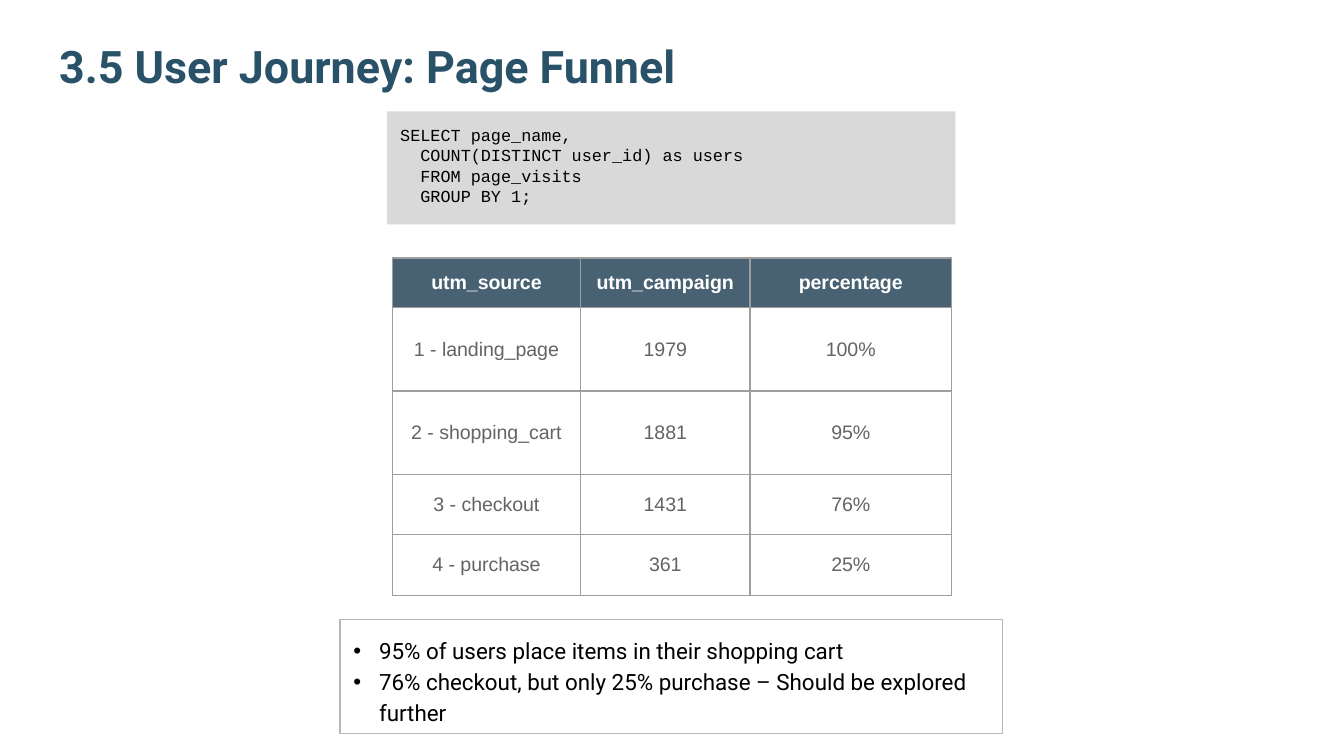
from pptx import Presentation
from pptx.dml.color import RGBColor
from pptx.enum.shapes import MSO_SHAPE
from pptx.enum.text import MSO_ANCHOR, MSO_AUTO_SIZE, PP_ALIGN
from pptx.oxml.ns import qn
from pptx.oxml.xmlchemy import OxmlElement
from pptx.util import Inches, Pt

LEFT, CENTER = PP_ALIGN.LEFT, PP_ALIGN.CENTER
TOP, MIDDLE, BOTTOM = MSO_ANCHOR.TOP, MSO_ANCHOR.MIDDLE, MSO_ANCHOR.BOTTOM
NO_AUTOFIT = MSO_AUTO_SIZE.NONE
RECTANGLE = MSO_SHAPE.RECTANGLE

QUERY = [
    "SELECT page_name,",
    "  COUNT(DISTINCT user_id) as users",
    "  FROM page_visits",
    "  GROUP BY 1;",
]
FUNNEL = [
    ("utm_source", "utm_campaign", "percentage"),
    ("1 - landing_page", "1979", "100%"),
    ("2 - shopping_cart", "1881", "95%"),
    ("3 - checkout", "1431", "76%"),
    ("4 - purchase", "361", "25%"),
]
COLUMN_WIDTHS = [1.4, 1.26, 1.5]
ROW_HEIGHTS = [0.37, 0.62, 0.62, 0.45, 0.45]
FINDINGS = [
    "95% of users place items in their shopping cart",
    "76% checkout, but only 25% purchase – Should be explored further",
]


def rgb(color):
    return RGBColor.from_string(color)


def place(shape, left, top, width, height):
    shape.left, shape.top = Inches(left), Inches(top)
    shape.width, shape.height = Inches(width), Inches(height)


def set_frame(frame, anchor):
    frame.word_wrap = True
    frame.auto_size = NO_AUTOFIT
    frame.vertical_anchor = anchor
    frame.margin_left = frame.margin_right = Inches(0.1)
    frame.margin_top = frame.margin_bottom = Inches(0.1)


def add_run(paragraph, text, font, size, color, bold=False):
    run = paragraph.add_run()
    run.text = text
    run.font.name = font
    run.font.size = Pt(size)
    run.font.bold = bold
    run.font.color.rgb = rgb(color)


def add_paragraphs(frame, lines):
    """Yield one paragraph with its text for each line."""
    for index, line in enumerate(lines):
        yield (frame.add_paragraph() if index else frame.paragraphs[0]), line


def add_child(parent, tag, **attributes):
    child = OxmlElement(tag)
    for name, value in attributes.items():
        child.set(name, value)
    parent.append(child)
    return child


def set_bullet(paragraph):
    properties = paragraph._p.get_or_add_pPr()
    properties.set("marL", str(Inches(0.19)))
    properties.set("indent", str(-Inches(0.19)))
    add_child(add_child(properties, "a:buClr"), "a:srgbClr", val="000000")
    add_child(properties, "a:buFont", typeface="Arial")
    add_child(properties, "a:buChar", char="•")


def set_borders(cell, color):
    properties = cell._tc.get_or_add_tcPr()
    for side in ("a:lnL", "a:lnR", "a:lnT", "a:lnB"):
        border = add_child(properties, side, w=str(Pt(0.75)))
        add_child(add_child(border, "a:solidFill"), "a:srgbClr", val=color)


def fill_header(cell, color, opacity):
    cell.fill.solid()
    cell.fill.fore_color.rgb = rgb(color)
    solid = cell._tc.tcPr.find(qn("a:solidFill"))
    add_child(solid[0], "a:alpha", val=str(opacity * 1000))


def add_title(slide):
    title = slide.shapes.title
    place(title, 0.34, 0.32, 9.32, 0.47)
    set_frame(title.text_frame, BOTTOM)
    heading = title.text_frame.paragraphs[0]
    heading.alignment = LEFT
    add_run(heading, "3.5 User Journey: Page Funnel", "Roboto", 24, "295269", True)


def add_query(slide):
    query = slide.shapes.add_shape(
        RECTANGLE, Inches(2.88), Inches(0.83), Inches(4.23), Inches(0.84))
    query.shadow.inherit = False
    query.fill.solid()
    query.fill.fore_color.rgb = rgb("D9D9D9")
    query.line.fill.background()
    set_frame(query.text_frame, TOP)
    for paragraph, line in add_paragraphs(query.text_frame, QUERY):
        paragraph.alignment = LEFT
        add_run(paragraph, line, "Courier New", 9, "000000")


def add_funnel(slide):
    funnel = slide.shapes.add_table(
        len(FUNNEL), len(COLUMN_WIDTHS), Inches(2.92), Inches(1.92),
        Inches(sum(COLUMN_WIDTHS)), Inches(sum(ROW_HEIGHTS))).table
    funnel.first_row = funnel.horz_banding = False
    for column, width in zip(funnel.columns, COLUMN_WIDTHS):
        column.width = Inches(width)
    for row_index, (row, values) in enumerate(zip(funnel.rows, FUNNEL)):
        row.height = Inches(ROW_HEIGHTS[row_index])
        is_header = row_index == 0
        for cell, value in zip(row.cells, values):
            set_borders(cell, "9E9E9E")
            if is_header:
                fill_header(cell, "204056", 82)
            else:
                cell.fill.background()
            cell.vertical_anchor = MIDDLE
            paragraph = cell.text_frame.paragraphs[0]
            paragraph.alignment = CENTER
            color = "FFFFFF" if is_header else "646466"
            add_run(paragraph, value, "Arial", 10.5, color, is_header)


def add_findings(slide):
    findings = slide.placeholders[1]
    place(findings, 2.53, 4.61, 4.93, 0.85)
    findings.line.color.rgb = rgb("B7B7B7")
    findings.line.width = Pt(0.75)
    set_frame(findings.text_frame, TOP)
    for paragraph, finding in add_paragraphs(findings.text_frame, FINDINGS):
        set_bullet(paragraph)
        paragraph.alignment = LEFT
        paragraph.line_spacing = 1.15
        paragraph.space_before = Pt(0)
        add_run(paragraph, finding, "Roboto", 12, "000000")


def main():
    presentation = Presentation()
    # Widescreen page, 16:9
    presentation.slide_width = Inches(10)
    presentation.slide_height = Inches(10 * 9 / 16)
    # Title and Content layout
    slide = presentation.slides.add_slide(presentation.slide_layouts[1])
    add_title(slide)
    add_query(slide)
    add_findings(slide)
    add_funnel(slide)
    presentation.save("out.pptx")


if __name__ == "__main__":
    main()
